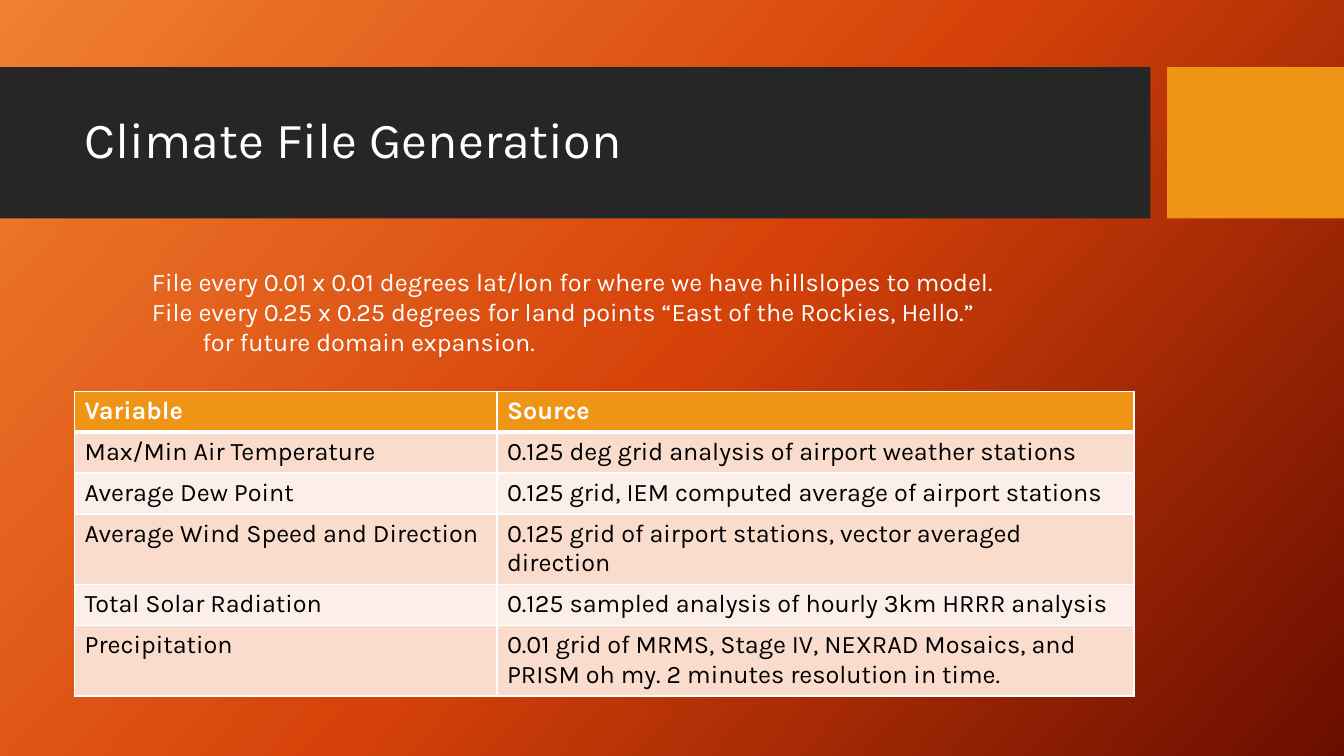
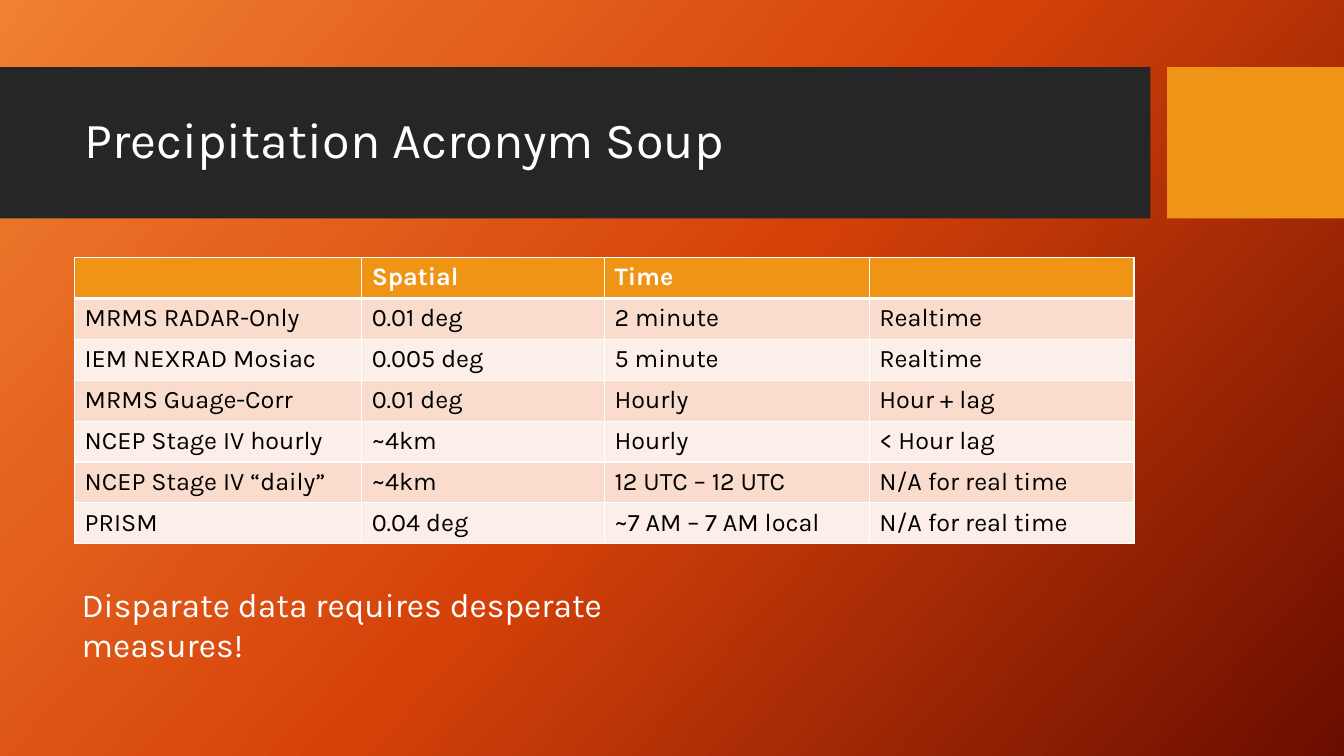
"""Build two slides on climate file inputs and precipitation data sources."""
from copy import deepcopy
from dataclasses import dataclass

from lxml.etree import SubElement
from pptx import Presentation
from pptx.dml.color import RGBColor
from pptx.enum.shapes import MSO_SHAPE
from pptx.enum.text import MSO_ANCHOR
from pptx.oxml.ns import qn
from pptx.util import Pt


@dataclass(frozen=True)
class Theme:
    font: str = "Karla"
    title: int = 36
    callout: int = 24
    body: int = 18
    white: str = "FFFFFF"
    black: str = "000000"
    band: str = "262626"
    accent: str = "F09415"
    rows: tuple = ("F9DCCC", "FCEEE8")
    gradient: tuple = ("F18031", "D54209", "6A0D00")


T = Theme()
LEFT, WIDTH, ROW_H = 53.3, 756.7, 29.2

SLIDES = [
    dict(
        title="Climate File Generation",
        table_top=279.5,
        cols=(301.7, 455),
        rows=[
            ("Variable", "Source"),
            ("Max/Min Air Temperature", "0.125 deg grid analysis of airport weather stations"),
            ("Average Dew Point", "0.125 grid, IEM computed average of airport stations"),
            ("Average Wind Speed and Direction",
             "0.125 grid of airport stations, vector averaged direction"),
            ("Total Solar Radiation", "0.125 sampled analysis of hourly 3km HRRR analysis"),
            ("Precipitation",
             "0.01 grid of MRMS, Stage IV, NEXRAD Mosaics, and PRISM oh my. "
             "2 minutes resolution in time."),
        ],
        note_box=(101.4, 186.5, 646, 72.7),
        note_size=T.body,
        note=[
            ("File every 0.01 x 0.01 degrees lat/lon for where we have hillslopes to model.", 0),
            ("File every 0.25 x 0.25 degrees for land points “East of the Rockies, Hello.”", 0),
            ("for future domain expansion.", 36),
        ],
    ),
    dict(
        title="Precipitation Acronym Soup",
        table_top=184,
        cols=(205.1, 173.4, 189.1, 189.1),
        rows=[
            ("", "Spatial", "Time", ""),
            ("MRMS RADAR-Only", "0.01 deg", "2 minute", "Realtime"),
            ("IEM NEXRAD Mosiac", "0.005 deg", "5 minute", "Realtime"),
            ("MRMS Guage-Corr", "0.01 deg", "Hourly", "Hour + lag"),
            ("NCEP Stage IV hourly", "~4km", "Hourly", "< Hour lag"),
            ("NCEP Stage IV “daily”", "~4km", "12 UTC – 12 UTC", "N/A for real time"),
            ("PRISM", "0.04 deg", "~7 AM – 7 AM local", "N/A for real time"),
        ],
        note_box=(51.2, 413.3, 480, 65),
        note_size=T.callout,
        note=[("Disparate data requires desperate measures!", 0)],
    ),
]


def write(p, text, size, color=T.white, bold=False):
    p.text = text
    p.font.name = T.font
    p.font.size = Pt(size)
    p.font.bold = bold
    p.font.color.rgb = RGBColor.from_string(color)


def add_borders(cell, is_header):
    tcPr = cell._tc.get_or_add_tcPr()
    for side in ("lnL", "lnR", "lnT", "lnB"):
        width = 3 if is_header and side == "lnB" else 1
        ln = SubElement(tcPr, qn(f"a:{side}"), w=str(Pt(width)))
        SubElement(SubElement(ln, qn("a:solidFill")), qn("a:srgbClr"), val=T.white)


prs = Presentation()
prs.slide_width, prs.slide_height = Pt(960), Pt(540)

fill = prs.slide_master.background.fill
fill.gradient()
fill.gradient_angle = 360 - 42
stops = prs.slide_master.element.find(".//" + qn("p:bgPr")).find(".//" + qn("a:gsLst"))
stops.insert(1, deepcopy(stops[0]))
for stop, color, position in zip(fill.gradient_stops, T.gradient, (0, 0.5, 1)):
    stop.color.rgb = RGBColor.from_string(color)
    stop.position = position

for content in SLIDES:
    s = prs.slides.add_slide(prs.slide_layouts[6])

    for left, width, color in ((0, 821.8, T.band), (833.6, 126.4, T.accent)):
        sp = s.shapes.add_shape(MSO_SHAPE.RECTANGLE, Pt(left), Pt(48), Pt(width), Pt(108))
        sp.shadow.inherit = False
        sp.fill.solid()
        sp.fill.fore_color.rgb = RGBColor.from_string(color)
        sp.line.fill.background()

    tf = s.shapes.add_textbox(Pt(LEFT), Pt(59), Pt(WIDTH), Pt(85)).text_frame
    tf.word_wrap = True
    tf.vertical_anchor = MSO_ANCHOR.MIDDLE
    tf.paragraphs[0].line_spacing = 0.9
    write(tf.paragraphs[0], content["title"], T.title)

    rows, cols = content["rows"], content["cols"]
    table = s.shapes.add_table(
        len(rows), len(cols), Pt(LEFT), Pt(content["table_top"]),
        Pt(WIDTH), Pt(ROW_H * len(rows))).table
    for column, width in zip(table.columns, cols):
        column.width = Pt(width)
    for i, row in enumerate(rows):
        is_header = i == 0
        table.rows[i].height = Pt(ROW_H)
        for j, text in enumerate(row):
            cell = table.cell(i, j)
            add_borders(cell, is_header)
            cell.fill.solid()
            cell.fill.fore_color.rgb = RGBColor.from_string(
                T.accent if is_header else T.rows[(i - 1) % 2])
            write(cell.text_frame.paragraphs[0], text, T.body,
                  T.white if is_header else T.black, is_header)

    tf = s.shapes.add_textbox(*map(Pt, content["note_box"])).text_frame
    tf.word_wrap = True
    for i, (text, indent) in enumerate(content["note"]):
        p = tf.add_paragraph() if i else tf.paragraphs[0]
        write(p, text, content["note_size"])
        if indent:
            p._p.get_or_add_pPr().set("marL", str(Pt(indent)))

prs.save("out.pptx")
